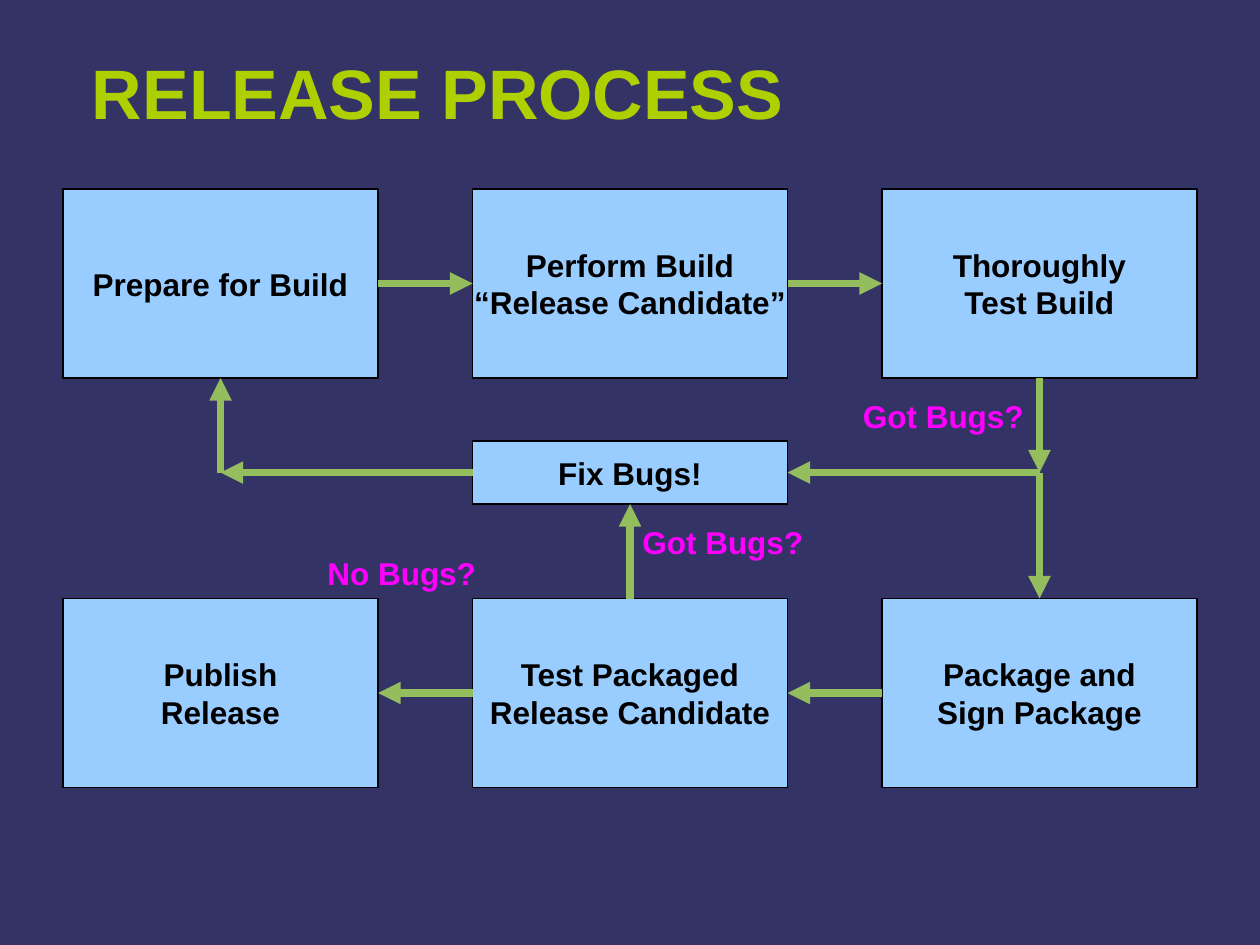
from lxml import etree
from pptx import Presentation
from pptx.dml.color import RGBColor
from pptx.enum.shapes import MSO_CONNECTOR, MSO_SHAPE
from pptx.enum.text import MSO_ANCHOR, PP_ALIGN
from pptx.oxml.ns import qn
from pptx.util import Pt

RECT, STRAIGHT = MSO_SHAPE.RECTANGLE, MSO_CONNECTOR.STRAIGHT
MIDDLE, TOP_ANCHOR = MSO_ANCHOR.MIDDLE, MSO_ANCHOR.TOP
CENTER, LEFT_ALIGN = PP_ALIGN.CENTER, PP_ALIGN.LEFT
TOP, LEFT, BOTTOM, RIGHT = range(4)
EMU_PER_PX = 9144  # 100 px to the inch


def px(n):
    return n * EMU_PER_PX


def rgb(value):
    return RGBColor.from_string(value)


class FlowSlide:
    """The slide being drawn, with its style."""
    font = "Arial"
    background = "333366"
    title_color = "AECF00"
    box_fill = "99CCFF"
    ink = "000000"
    label_color = "FF00FF"
    arrow_color = "94BD5E"

    def __init__(self, prs):
        self.slide = prs.slides.add_slide(prs.slide_layouts[6])
        fill = self.slide.background.fill
        fill.solid()
        fill.fore_color.rgb = rgb(self.background)

    def set_text(self, sp, lines, size, color, align, anchor):
        tf = sp.text_frame
        tf.word_wrap = False
        tf.vertical_anchor = anchor
        for i, line in enumerate(lines):
            p = tf.paragraphs[0] if i == 0 else tf.add_paragraph()
            p.text = line
            p.alignment = align
            p.font.name, p.font.size, p.font.bold = self.font, Pt(size), True
            p.font.color.rgb = rgb(color)
        return tf

    def title(self, text, x, y, w, h):
        sp = self.slide.shapes.add_textbox(px(x), px(y), px(w), px(h))
        tf = self.set_text(sp, [text], 40, self.title_color, LEFT_ALIGN, MIDDLE)
        tf.word_wrap = True
        tf.margin_left = tf.margin_right = tf.margin_bottom = 0
        tf.margin_top = px(4)
        tf.paragraphs[0].line_spacing = 0.93

    def box(self, lines, x, y, w, h):
        sp = self.slide.shapes.add_shape(RECT, px(x), px(y), px(w), px(h))
        sp.shadow.inherit = False
        sp.fill.solid()
        sp.fill.fore_color.rgb = rgb(self.box_fill)
        sp.line.color.rgb = rgb(self.ink)
        sp.line.width = Pt(0.75)
        self.set_text(sp, lines, 18, self.ink, CENTER, MIDDLE)
        return sp

    def label(self, text, x, y, w, h=40):
        sp = self.slide.shapes.add_textbox(px(x), px(y), px(w), px(h))
        self.set_text(sp, [text], 18, self.label_color, LEFT_ALIGN, TOP_ANCHOR)

    def arrow(self, start, end):
        """Each end is an (x, y) point or a (shape, side) pair."""
        points = [e if isinstance(e[0], int) else (0, 0) for e in (start, end)]
        line = self.slide.shapes.add_connector(
            STRAIGHT, *(px(n) for point in points for n in point))
        if start is not points[0]:
            line.begin_connect(*start)
        if end is not points[1]:
            line.end_connect(*end)
        line.line.color.rgb = rgb(self.arrow_color)
        line.line.width = Pt(4.31)
        sp_pr = line._element.spPr
        etree.SubElement(sp_pr.find(qn("a:ln")), qn("a:tailEnd"), type="triangle")
        etree.SubElement(sp_pr, qn("a:effectLst"))


def main():
    prs = Presentation()
    prs.slide_width, prs.slide_height = px(1000), px(750)
    s = FlowSlide(prs)
    s.title("RELEASE PROCESS", 73, 12, 854, 125)

    box_w, box_h = 250, 150
    columns = [50 + i * (box_w + 75) for i in range(3)]
    steps = {
        150: (["Prepare for Build"],
              ["Perform Build", "“Release Candidate”"],
              ["Thoroughly", "Test Build"]),
        475: (["Publish", "Release"],
              ["Test Packaged", "Release Candidate"],
              ["Package and", "Sign Package"]),
    }
    (prepare, build, test), (publish, retest, package) = [
        [s.box(lines, x, y, box_w, box_h) for x, lines in zip(columns, row)]
        for y, row in steps.items()]
    fix = s.box(["Fix Bugs!"], columns[1], 350, box_w, 50)

    left_turn, right_turn = [(x + box_w // 2, 375) for x in (columns[0], columns[2])]
    for start, end in (
        ((prepare, RIGHT), (build, LEFT)),
        ((build, RIGHT), (test, LEFT)),
        ((test, BOTTOM), right_turn),
        (right_turn, (fix, RIGHT)),
        (right_turn, (package, TOP)),
        ((package, LEFT), (retest, RIGHT)),
        ((retest, LEFT), (publish, RIGHT)),
        ((retest, TOP), (fix, BOTTOM)),
        ((fix, LEFT), left_turn),
        (left_turn, (prepare, BOTTOM)),
    ):
        s.arrow(start, end)

    s.label("Got Bugs?", 675, 310, 148)
    s.label("Got Bugs?", 500, 410, 148)
    s.label("No Bugs?", 250, 435, 138)

    prs.save("out.pptx")


if __name__ == "__main__":
    main()
